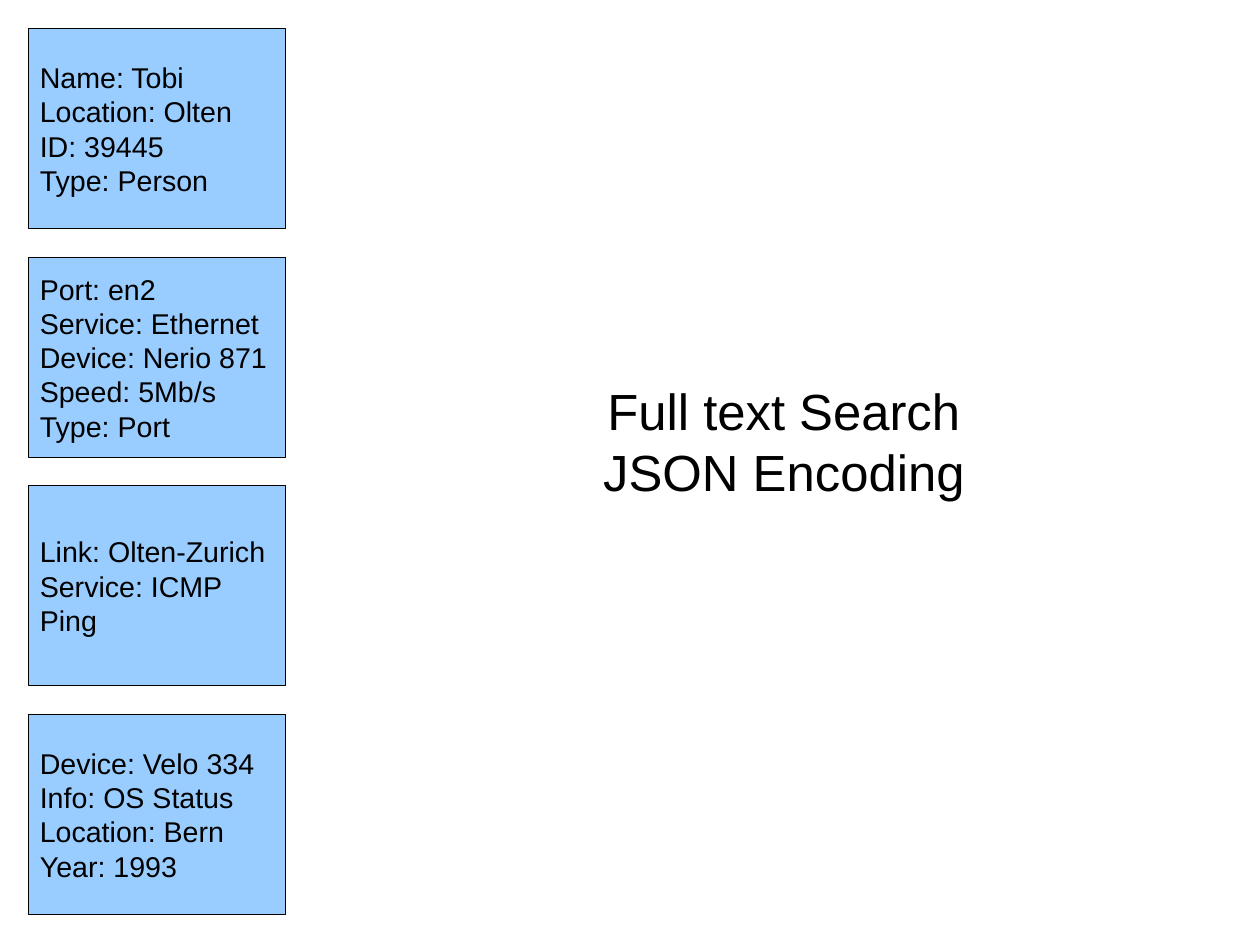
from pptx import Presentation
from pptx.dml.color import RGBColor
from pptx.enum.shapes import MSO_SHAPE as Preset
from pptx.enum.text import MSO_ANCHOR as Anchor, PP_ALIGN as Align
from pptx.util import Inches, Pt

SKY = RGBColor(0x99, 0xCC, 0xFF)
BLACK = RGBColor(0, 0, 0)

# The page is 28 by 21 centimetres
CM_PER_INCH = 2.54
PAGE_WIDTH, PAGE_HEIGHT = Inches(28 / CM_PER_INCH), Inches(21 / CM_PER_INCH)

RECORDS = [
    ["Name: Tobi", "Location: Olten", "ID: 39445", "Type: Person"],
    ["Port: en2", "Service: Ethernet", "Device: Nerio 871", "Speed: 5Mb/s", "Type: Port"],
    ["Link: Olten-Zurich", "Service: ICMP Ping"],
    ["Device: Velo 334", "Info: OS Status", "Location: Bern", "Year: 1993"],
]
TOPICS = "Full text Search\vJSON Encoding"  # \v is a line break

# Column of record cards
MARGIN = 0.25
CARD_WIDTH, CARD_HEIGHT = 2.25, 1.75
CARD_STEP = CARD_HEIGHT + MARGIN

RECORD_FONT = {"name": "Arial", "size": Pt(18)}
TOPIC_FONT = {"name": "Arial", "size": Pt(32)}
CARD_FRAME = {"word_wrap": True, "vertical_anchor": Anchor.MIDDLE}
TOPIC_FRAME = CARD_FRAME | dict.fromkeys(
    ["margin_left", "margin_top", "margin_right", "margin_bottom"], Inches(0))


def apply_format(target, values):
    for attribute, value in values.items():
        setattr(target, attribute, value)


def write_lines(frame, lines, frame_format, font_format, alignment):
    """Fill a text frame with one paragraph per line."""
    apply_format(frame, frame_format)
    frame.text = "\n".join(lines)
    for paragraph in frame.paragraphs:
        paragraph.alignment = alignment
        for run in paragraph.runs:
            apply_format(run.font, font_format)
            run.font.color.rgb = BLACK


def add_record_card(slide, top, record):
    card = slide.shapes.add_shape(
        Preset.RECTANGLE, Inches(MARGIN), Inches(top),
        Inches(CARD_WIDTH), Inches(CARD_HEIGHT))
    card.shadow.inherit = False
    card.fill.solid()
    card.fill.fore_color.rgb = SKY
    card.line.color.rgb = BLACK
    card.line.width = Pt(0)
    write_lines(card.text_frame, record, CARD_FRAME, RECORD_FONT, Align.LEFT)


def add_topics(slide):
    topics = slide.shapes.add_textbox(
        Inches(3.25), Inches(0.33), Inches(7.22), Inches(7.06))
    write_lines(topics.text_frame, [TOPICS], TOPIC_FRAME, TOPIC_FONT, Align.CENTER)


def main():
    deck = Presentation()
    deck.slide_width, deck.slide_height = PAGE_WIDTH, PAGE_HEIGHT
    slide = deck.slides.add_slide(deck.slide_layouts[6])

    # Records on the left
    for row, record in enumerate(RECORDS):
        add_record_card(slide, MARGIN + row * CARD_STEP, record)

    # Topics on the right
    add_topics(slide)

    deck.save("out.pptx")


if __name__ == "__main__":
    main()
